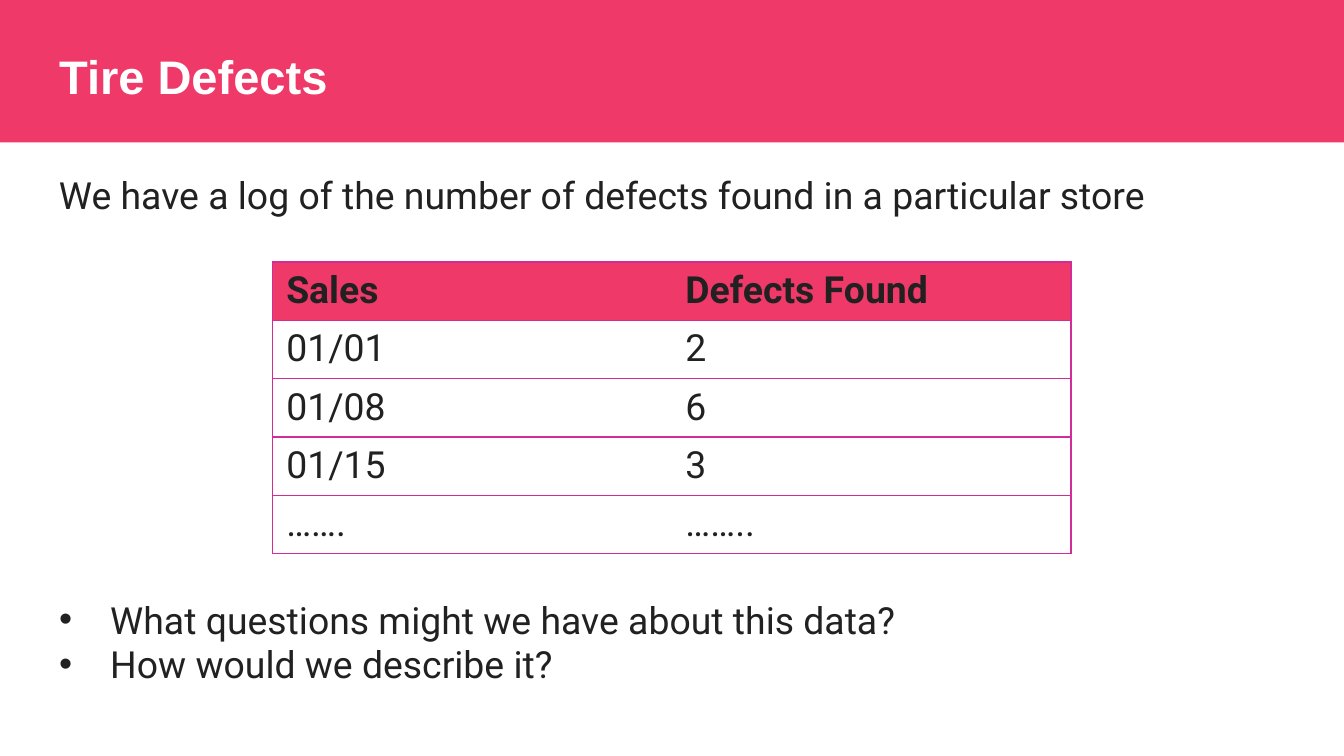
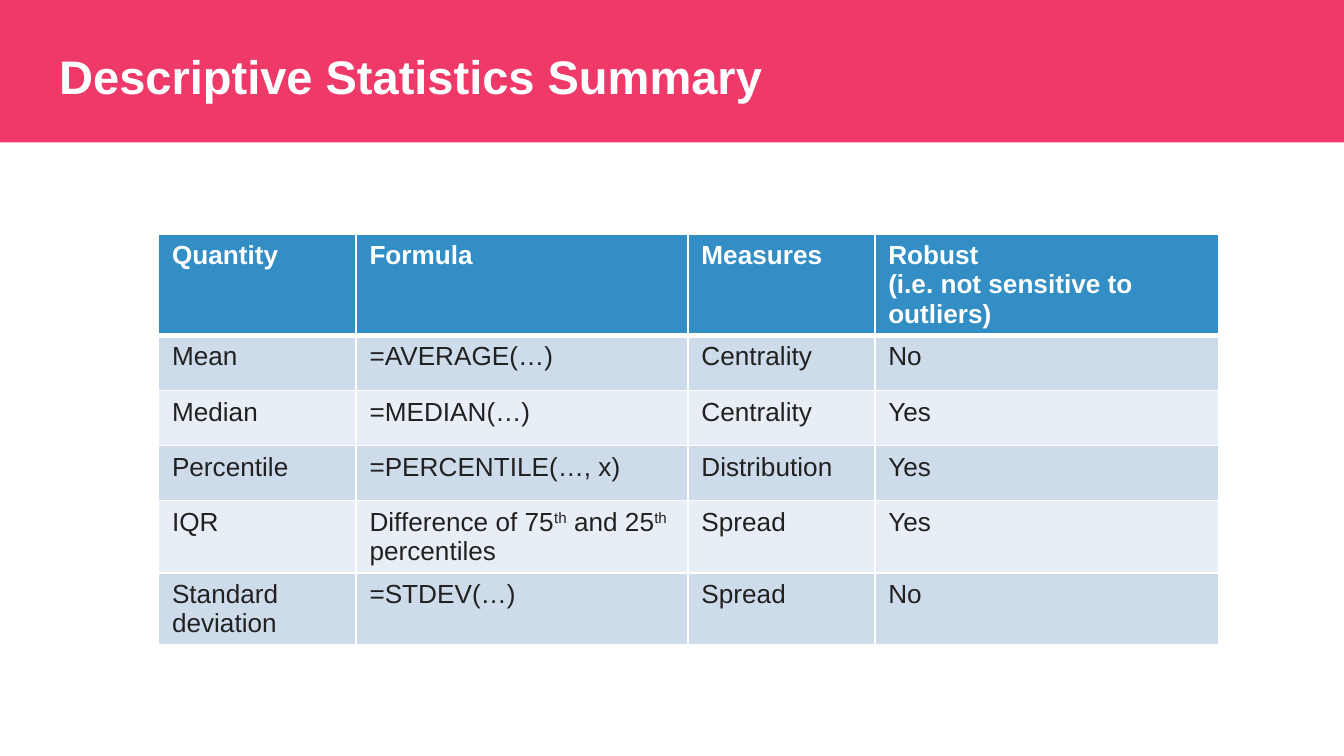
import pptx
import pptx.util
import pptx.dml.color
import pptx.enum.shapes
import pptx.enum.text
import pptx.oxml
import pptx.oxml.ns
from dataclasses import dataclass

TIRE_TITLE = "Tire Defects"
TIRE_INTRO = "We have a log of the number of defects found in a particular store"
TIRE_ROWS = [
    ("Sales", "Defects Found"),
    ("01/01", "2"),
    ("01/08", "6"),
    ("01/15", "3"),
    ("…….", "…….."),
]
TIRE_QUESTIONS = [
    "What questions might we have about this data? ",
    "How would we describe it?",
]

SUMMARY_TITLE = "Descriptive Statistics Summary"
SUPERSCRIPT = "^"
BREAK = "\n"
SUMMARY_ROWS = [
    ("Quantity", "Formula", "Measures",
     ["Robust ", BREAK, "(i.e. not sensitive to outliers) "]),
    ("Mean", "=AVERAGE(…)", "Centrality", "No"),
    ("Median", "=MEDIAN(…)", "Centrality", "Yes"),
    ("Percentile", "=PERCENTILE(…, x)", "Distribution", "Yes"),
    ("IQR", ["Difference of 75", "^th", " and 25", "^th", " percentiles"],
     "Spread", "Yes"),
    ("Standard deviation", "=STDEV(…)", "Spread", "No"),
]


@dataclass(frozen=True)
class Theme:
    pink: str = "EF3969"
    magenta: str = "D12C97"
    blue: str = "328EC4"
    bands: tuple = ("CEDBEA", "E8EEF5")
    ink: str = "212121"
    white: str = "FFFFFF"
    heading_font: str = "Arial"
    body_font: str = "Roboto"
    title_size: float = 25.2
    body_size: float = 20
    table_size: float = 14
    margin: float = 0.34
    band_height: float = 1.06


theme = Theme()
WIDTH = 10
HEIGHT = WIDTH * 9 / 16
inches = pptx.util.Inches


def rgb(code):
    return pptx.dml.color.RGBColor.from_string(code)


def write(para, spans, font, size, color, bold=False):
    for text in [spans] if isinstance(spans, str) else spans:
        if text == BREAK:
            para.add_line_break()
            continue
        span = para.add_run()
        span.text = text.removeprefix(SUPERSCRIPT)
        span.font.name = font
        span.font.size = pptx.util.Pt(size)
        span.font.color.rgb = rgb(color)
        span.font.bold = bold
        if text.startswith(SUPERSCRIPT):
            span._r.get_or_add_rPr().set("baseline", "30000")


def place(box, left, top, width, height):
    box.left, box.top = inches(left), inches(top)
    box.width, box.height = inches(width), inches(height)


def set_borders(cell, sides):
    properties = cell._tc.get_or_add_tcPr()
    for index, side in enumerate("LRTB"):
        color, points = sides.get(side, (None, 0))
        paint = (f'<a:solidFill><a:srgbClr val="{color}"/></a:solidFill>'
                 if color else "<a:noFill/>")
        line = pptx.oxml.parse_xml(
            f'<a:ln{side} {pptx.oxml.ns.nsdecls("a")} '
            f'w="{int(points * 12700)}">{paint}</a:ln{side}>')
        properties.insert(index, line)


def add_grid(page, rows, left, top, widths, heights, style):
    frame = page.shapes.add_table(
        len(rows), len(widths), inches(left), inches(top),
        inches(sum(widths)), inches(sum(heights)))
    grid = frame.table
    for column, width in zip(grid.columns, widths):
        column.width = inches(width)
    for row, height in zip(grid.rows, heights):
        row.height = inches(height)
    for r, values in enumerate(rows):
        for c, spans in enumerate(values):
            cell = grid.cell(r, c)
            fill, text_style, sides = style(r, c)
            if fill:
                cell.fill.solid()
                cell.fill.fore_color.rgb = rgb(fill)
            else:
                cell.fill.background()
            set_borders(cell, sides)
            write(cell.text_frame.paragraphs[0], spans, **text_style)


def tire_style(r, c):
    edge = (theme.magenta, 0.75)
    sides = {"T": edge, "B": edge, "LR"[c]: edge}
    text = dict(font=theme.body_font, size=theme.body_size,
                color=theme.ink, bold=r == 0)
    return theme.pink if r == 0 else None, text, sides


def summary_style(r, c):
    sides = {side: (theme.white, 1) for side in "LRTB"}
    if r < 2:
        sides["B" if r == 0 else "T"] = (theme.white, 3)
    text = dict(font=theme.heading_font, size=theme.table_size,
                color=theme.ink if r else theme.white, bold=r == 0)
    return theme.bands[(r - 1) % 2] if r else theme.blue, text, sides


def add_page(layout, title):
    page = deck.slides.add_slide(layout)
    box = page.shapes.title
    place(box, theme.margin, 0.25, WIDTH - 2 * theme.margin, 0.63)
    frame = box.text_frame
    frame.auto_size = pptx.enum.text.MSO_AUTO_SIZE.NONE
    frame.vertical_anchor = pptx.enum.text.MSO_ANCHOR.MIDDLE
    frame.margin_top = frame.margin_bottom = inches(0.1)
    para = frame.paragraphs[0]
    para.alignment = pptx.enum.text.PP_ALIGN.LEFT
    write(para, title, theme.heading_font, theme.title_size, theme.white, True)
    return page


def move_band_to_master(page):
    band = page.shapes.add_shape(
        pptx.enum.shapes.MSO_SHAPE.RECTANGLE,
        0, 0, inches(WIDTH), inches(theme.band_height))
    band.shadow.inherit = False
    band.fill.solid()
    band.fill.fore_color.rgb = rgb(theme.pink)
    band.line.fill.background()
    deck.slide_master.shapes._spTree.insert(2, band._element)


deck = pptx.Presentation()
deck.slide_width, deck.slide_height = inches(WIDTH), inches(HEIGHT)
list_layout, title_layout = deck.slide_layouts[1], deck.slide_layouts[5]

tire_page = add_page(list_layout, TIRE_TITLE)
move_band_to_master(tire_page)
intro = tire_page.shapes.add_textbox(
    inches(theme.margin), inches(1.23), inches(9.19), inches(0.44))
intro.text_frame.word_wrap = True
write(intro.text_frame.paragraphs[0], TIRE_INTRO,
      theme.body_font, theme.body_size, theme.ink)

tire_widths = [2.97] * 2
add_grid(tire_page, TIRE_ROWS, (WIDTH - sum(tire_widths)) / 2, 1.95,
         tire_widths, [0.43] * len(TIRE_ROWS), tire_style)

questions = tire_page.placeholders[1]
place(questions, theme.margin, 4.39, 8.09, 0.77)
questions.text_frame.auto_size = pptx.enum.text.MSO_AUTO_SIZE.NONE
for number, question in enumerate(TIRE_QUESTIONS):
    frame = questions.text_frame
    para = frame.add_paragraph() if number else frame.paragraphs[0]
    para.space_before = pptx.util.Pt(0)
    indent = inches(0.38)
    properties = para._p.get_or_add_pPr()
    properties.set("marL", str(indent))
    properties.set("indent", str(-indent))
    write(para, question, theme.body_font, theme.body_size, theme.ink)

summary_page = add_page(title_layout, SUMMARY_TITLE)
add_grid(summary_page, SUMMARY_ROWS, 1.18, 1.74, [1.47, 2.47, 1.39, 2.56],
         [0.75] + [0.41] * 3 + [0.53] * 2, summary_style)

deck.save("out.pptx")
